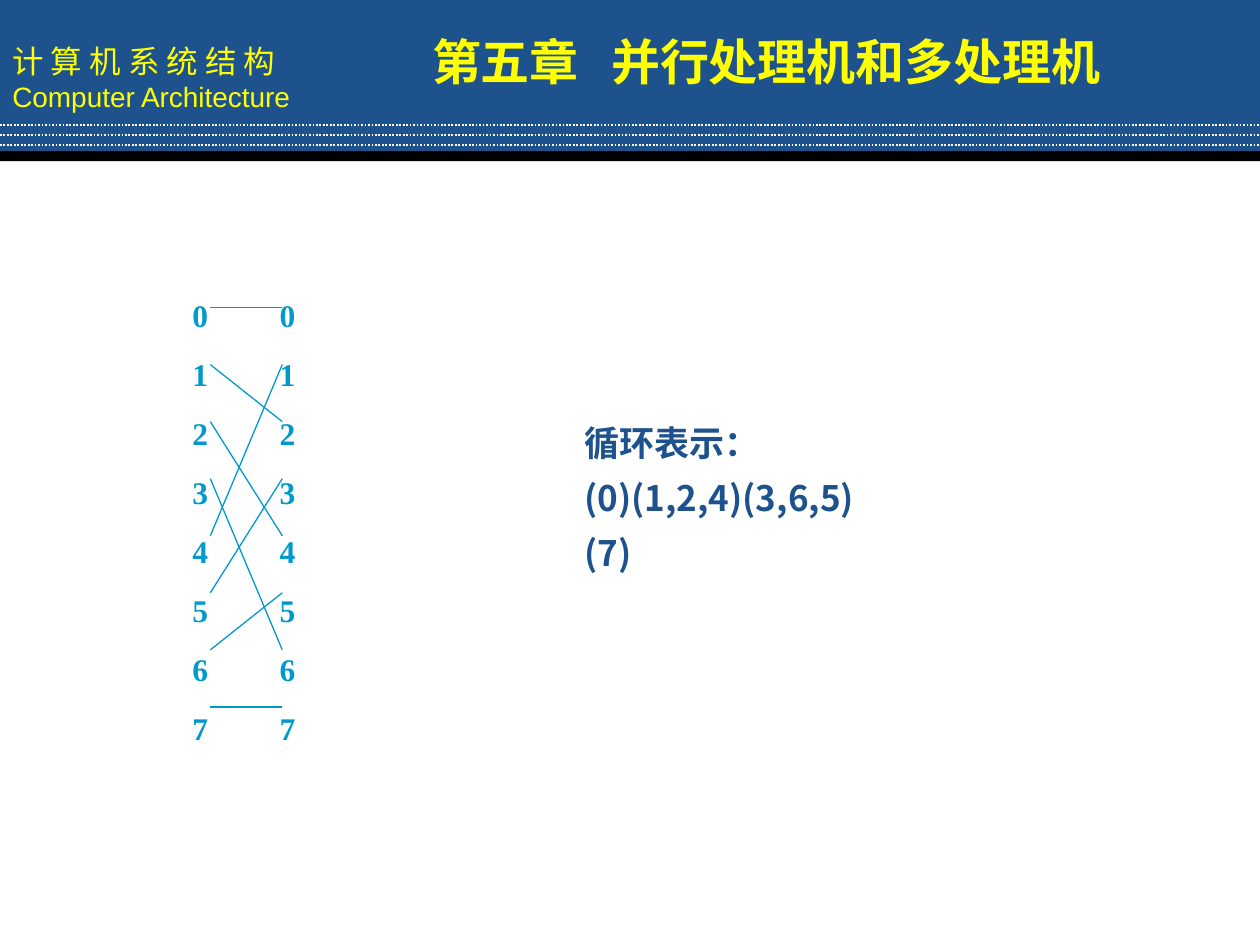
from dataclasses import dataclass
from lxml.etree import SubElement
from pptx import Presentation
from pptx.dml.color import RGBColor as Color
from pptx.enum.dml import MSO_LINE
from pptx.enum.shapes import MSO_CONNECTOR as Connector, MSO_SHAPE as Shape
from pptx.enum.text import MSO_ANCHOR as Anchor, PP_ALIGN as Align
from pptx.oxml.ns import qn
from pptx.util import Cm, Pt


@dataclass(frozen=True)
class Theme:
    navy: Color = Color.from_string("1D528D")
    black: Color = Color.from_string("000000")
    white: Color = Color.from_string("FFFFFF")
    yellow: Color = Color.from_string("FFFF00")
    teal: Color = Color.from_string("0099CC")
    chinese: str = "Noto Sans CJK SC"
    latin: str = "Arial"
    serif: str = "Times New Roman"
    title: int = 28
    note: int = 20
    body: int = 18
    subtitle: int = 16


theme = Theme()


def add_text(para, text, font, size, color, bold=False, tabs=()):
    properties = para._p.get_or_add_pPr()
    if tabs:
        tab_list = SubElement(properties, qn("a:tabLst"))
        for stop in tabs:
            SubElement(tab_list, qn("a:tab"), pos=str(Cm(stop)), algn="l")
    span = para.add_run()
    span.text = text
    span.font.name = font
    span.font.size = Pt(size)
    span.font.bold = bold
    span.font.color.rgb = color
    SubElement(span._r.get_or_add_rPr(), qn("a:ea"), typeface=font)


def add_line(x1, y1, x2, y2, color, width):
    line = page.shapes.add_connector(Connector.STRAIGHT, Cm(x1), Cm(y1), Cm(x2), Cm(y2))
    line.line.color.rgb = color
    line.line.width = Pt(width)
    SubElement(line._element.spPr, qn("a:effectLst"))
    return line


deck = Presentation()
deck.slide_width, deck.slide_height = Cm(25.4), Cm(19.05)
page = deck.slides.add_slide(deck.slide_layouts[6])

bands = []
for top, height, color in ((0, 3.12, theme.navy), (3.05, 0.2, theme.black)):
    band = page.shapes.add_shape(Shape.RECTANGLE, 0, Cm(top), Cm(25.4), Cm(height))
    band.shadow.inherit = False
    band.fill.solid()
    band.fill.fore_color.rgb = color
    band.line.fill.background()
    bands.append(band)

course = bands[0].text_frame
course.word_wrap = False
course.vertical_anchor = Anchor.MIDDLE
course.paragraphs[0].alignment = Align.LEFT
add_text(course.paragraphs[0], "计 算 机 系 统 结 构", theme.chinese, theme.body, theme.yellow)
para = course.add_paragraph()
para.alignment = Align.LEFT
add_text(para, "Computer Architecture", theme.latin, theme.subtitle, theme.yellow)

for row in range(3):
    y = 2.52 + 0.2 * row
    rule = add_line(0, y, 25.4, y, theme.white, 1)
    rule.line.dash_style = MSO_LINE.ROUND_DOT

labels = page.shapes.add_textbox(Cm(1.9), Cm(5.84), Cm(20.52), Cm(9.14)).text_frame
labels.word_wrap = True
for number in range(8):
    para = labels.add_paragraph() if number else labels.paragraphs[0]
    para.space_before = Pt(12.1 if number else 0)
    add_text(para, f"\t{number}\t{number}", theme.serif, theme.body, theme.teal, True, (1.73, 3.49))

for source in range(8):
    target = source * 2 % 7 if source < 7 else 7
    add_line(4.24, 6.2 + 1.15 * source, 5.69, 6.2 + 1.15 * target, theme.teal, 0.75)

heading = page.shapes.add_textbox(Cm(8.46), Cm(0.52), Cm(16.31), Cm(1.45)).text_frame
heading.word_wrap = True
add_text(heading.paragraphs[0], "第五章\t并行处理机和多处理机", theme.chinese, theme.title,
         theme.yellow, True, (3.61,))

cycles = page.shapes.add_textbox(Cm(11.53), Cm(8.12), Cm(6.45), Cm(2.46)).text_frame
cycles.word_wrap = True
for index, text in enumerate(("循环表示：", "(0)(1,2,4)(3,6,5)(7)")):
    para = cycles.add_paragraph() if index else cycles.paragraphs[0]
    para.line_spacing = Pt(31.4)
    add_text(para, text, theme.chinese, theme.note, theme.navy, True)

deck.save("out.pptx")
